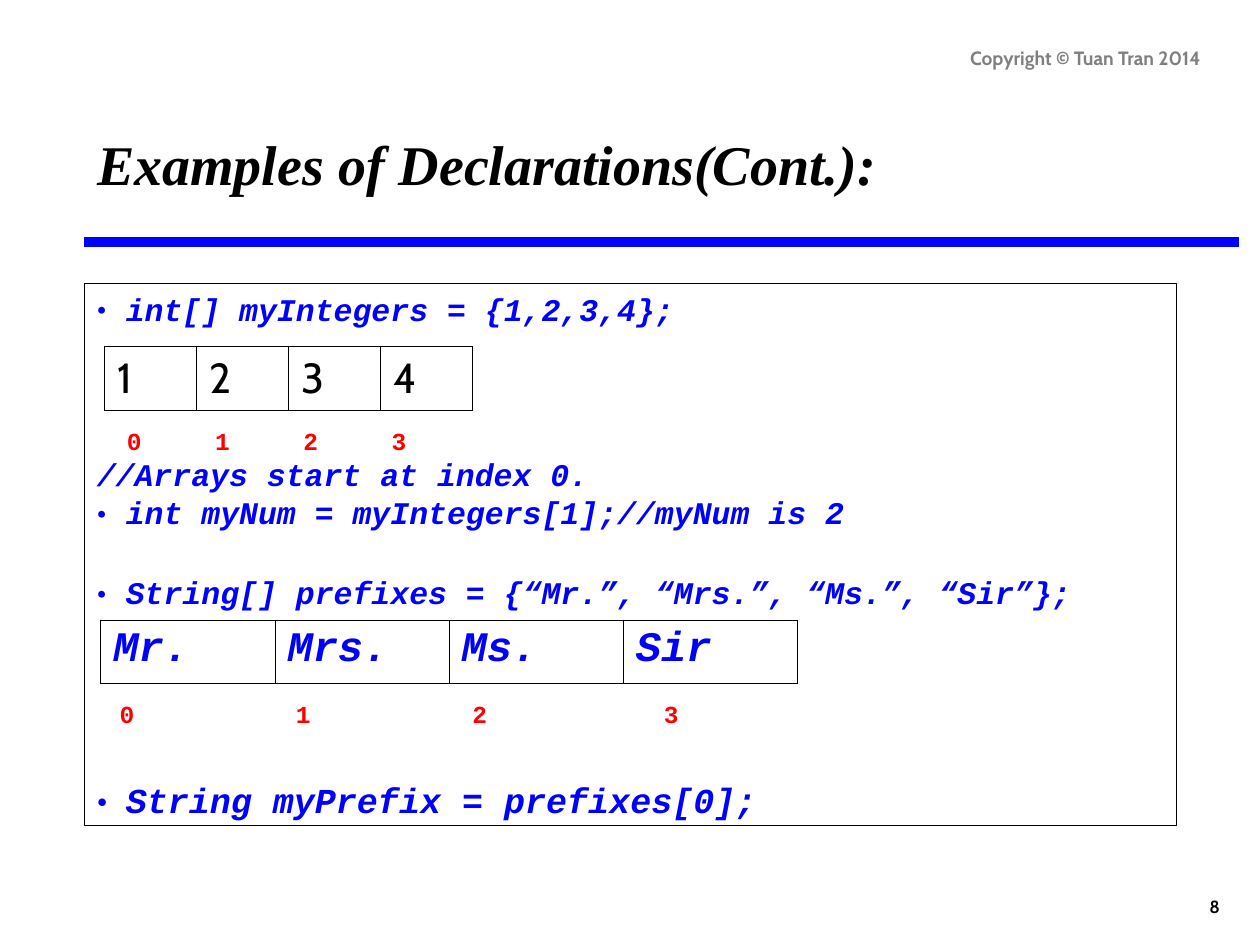
"""Build the slide on array declarations."""
from dataclasses import dataclass

from lxml import etree
from pptx import Presentation
from pptx import util as u
from pptx.dml.color import RGBColor
from pptx.enum import shapes, text
from pptx.oxml import ns

BLACK = RGBColor(0, 0, 0)
BLUE = RGBColor(0, 0, 255)
RED = RGBColor(255, 0, 0)
GREY = RGBColor(127, 127, 127)
TOP, BASE = text.MSO_ANCHOR.TOP, text.MSO_ANCHOR.BOTTOM
LEFT, RIGHT = text.PP_ALIGN.LEFT, text.PP_ALIGN.RIGHT


@dataclass
class Style:
    name: str
    size: float
    color: RGBColor
    bold: bool = True
    italic: bool = False


@dataclass
class Label:
    words: str
    box: tuple
    style: Style
    anchor: object = TOP
    align: object = LEFT
    stops: tuple = ()


@dataclass
class Line:
    words: str
    size: float = 18
    gap: float = 0
    dot: bool = True


@dataclass
class Grid:
    words: tuple
    box: tuple
    style: Style


CODE = Style("Courier New", 18, BLUE, italic=True)
INDEX = Style("Courier New", 14, RED)
HEAD = Style("Times New Roman", 32, BLACK, italic=True)

TITLE = Label("Examples of Declarations(Cont.):", (0.67, 0.98, 6.78, 0.64), HEAD)
LABELS = [
    Label("8", (7.7, 6.83, 2.08, 0.5), Style("Cabin", 10, BLACK), BASE, RIGHT),
    Label("\t0\t1\t2\t3", (0.68, 3.33, 3.13, 0.34), INDEX,
          stops=(0.23, 0.93, 1.63, 2.33)),
    Label("0\t1\t2\t3", (0.85, 5.5, 5.48, 0.34), INDEX, stops=(1.4, 2.8, 4.32)),
    Label("Copyright © Tuan Tran 2014", (6.46, 0.33, 3.17, 0.27),
          Style("Cabin", 11, GREY), BASE, RIGHT),
]
LINES = [
    Line("int[] myIntegers = {1,2,3,4};"),
    Line("//Arrays start at index 0.", gap=73, dot=False),
    Line("int myNum = myIntegers[1];//myNum is 2"),
    Line("String[] prefixes = {“Mr.”, “Mrs.”, “Ms.”, “Sir”};", gap=24),
    Line("String myPrefix = prefixes[0];", size=20, gap=96),
]
GRIDS = [
    Grid(("1", "2", "3", "4"), (0.83, 2.75, 2.92, 0.5),
         Style("Cabin", 24, BLACK, bold=False)),
    Grid(("Mr.", "Mrs.", "Ms.", "Sir"), (0.8, 4.92, 5.53, 0.5),
         Style("Courier New", 24, BLUE, italic=True)),
]


def place(box: tuple) -> list:
    """Turn inches into lengths."""
    return [u.Inches(v) for v in box]


def sub(node, tag: str, **attrs):
    """Add a drawing element to a node."""
    return etree.SubElement(node, ns.qn("a:" + tag), attrs)


def dress(font, style: Style, size: float = 0) -> None:
    """Give a font its style."""
    looks = {"name": style.name, "size": u.Pt(size or style.size),
             "bold": style.bold, "italic": style.italic}
    for key, value in looks.items():
        setattr(font, key, value)
    font.color.rgb = style.color


def write(shape, label: Label) -> None:
    """Fill a shape with one styled paragraph."""
    frame = shape.text_frame
    looks = {"word_wrap": True, "auto_size": text.MSO_AUTO_SIZE.NONE,
             "vertical_anchor": label.anchor}
    for key, value in looks.items():
        setattr(frame, key, value)
    para = frame.paragraphs[0]
    para.alignment = label.align
    if label.stops:
        tabs = sub(para._p.get_or_add_pPr(), "tabLst")
        for stop in label.stops:
            sub(tabs, "tab", pos=str(u.Inches(stop)), algn="l")
    run = para.add_run()
    run.text = label.words
    dress(run.font, label.style)


def draw_title(slide, label: Label) -> None:
    """Move and fill the title."""
    title = slide.shapes.title
    for key, value in zip(("left", "top", "width", "height"), place(label.box)):
        setattr(title, key, value)
    write(title, label)


def draw_rule(slide) -> None:
    """Draw the blue rule below the title."""
    rule = slide.shapes.add_connector(
        shapes.MSO_CONNECTOR.STRAIGHT, *place((0.67, 1.92, 9.83, 1.92)))
    rule.line.color.rgb = BLUE
    rule.line.width = u.Pt(6)
    sub(rule._element.spPr, "effectLst")


def draw_code(slide, lines: list) -> None:
    """Draw the framed list of code lines."""
    panel = slide.shapes.add_shape(
        shapes.MSO_SHAPE.RECTANGLE, *place((0.67, 2.25, 8.67, 4.3)))
    panel.shadow.inherit = False
    panel.fill.background()
    panel.line.color.rgb = BLACK
    panel.line.width = u.Pt(0.75)
    frame = panel.text_frame
    frame.word_wrap = True
    frame.vertical_anchor = TOP
    for i, line in enumerate(lines):
        para = frame.add_paragraph() if i else frame.paragraphs[0]
        para.alignment = LEFT
        if line.gap:
            para.space_before = u.Pt(line.gap)
        if line.dot:
            props = para._p.get_or_add_pPr()
            props.set("marL", str(u.Inches(0.23)))
            props.set("indent", str(-u.Inches(0.23)))
            sub(sub(props, "buClr"), "srgbClr", val=str(BLUE))
            sub(props, "buFont", typeface="Cabin")
            sub(props, "buChar", char="•")
        run = para.add_run()
        run.text = line.words
        dress(run.font, CODE, line.size)


def draw_grid(slide, grid: Grid) -> None:
    """Draw a one-row table of array values."""
    table = slide.shapes.add_table(1, len(grid.words), *place(grid.box)).table
    table.first_row = table.horz_banding = False
    for cell, words in zip(table.iter_cells(), grid.words):
        cell.text = words
        dress(cell.text_frame.paragraphs[0].runs[0].font, grid.style)
        props = cell._tc.get_or_add_tcPr()
        for side in ("lnL", "lnR", "lnT", "lnB"):
            edge = sub(props, side, w=str(u.Pt(0.45)))
            sub(sub(edge, "solidFill"), "srgbClr", val=str(BLACK))
        cell.fill.background()


def main() -> None:
    """Build and save the slide."""
    deck = Presentation()
    deck.slide_width, deck.slide_height = place((10, 7.5))
    slide = deck.slides.add_slide(deck.slide_layouts[5])
    draw_title(slide, TITLE)
    draw_rule(slide)
    draw_code(slide, LINES)
    for grid in GRIDS:
        draw_grid(slide, grid)
    for label in LABELS:
        write(slide.shapes.add_textbox(*place(label.box)), label)
    deck.save("out.pptx")


if __name__ == "__main__":
    main()
